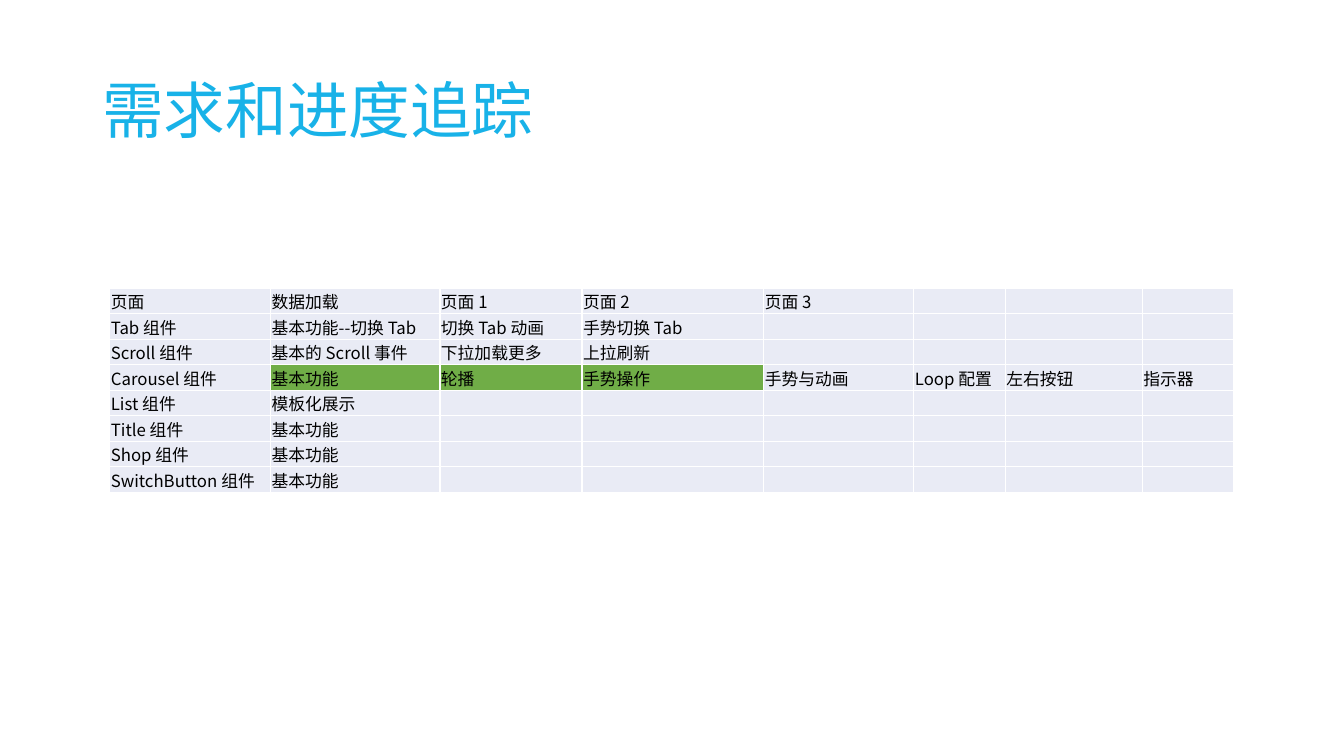
from lxml import etree
from pptx import Presentation
from pptx.dml.color import RGBColor
from pptx.enum.text import MSO_ANCHOR
from pptx.oxml.ns import qn
from pptx.util import Pt

MIDDLE, BOTTOM = MSO_ANCHOR.MIDDLE, MSO_ANCHOR.BOTTOM
FONT = "Noto Sans CJK SC"
BLUE = RGBColor(0x18, 0xB2, 0xE8)
BLACK = RGBColor(0x00, 0x00, 0x00)
WHITE = RGBColor(0xFF, 0xFF, 0xFF)
PALE = RGBColor(0xE9, 0xEB, 0xF5)
GREEN = RGBColor(0x70, 0xAD, 0x47)

TITLE = "需求和进度追踪"
ROWS = [
    ["页面", "数据加载", "页面 1", "页面 2", "页面 3"],
    ["Tab 组件", "基本功能--切换 Tab", "切换 Tab 动画", "手势切换 Tab"],
    ["Scroll 组件", "基本的 Scroll 事件", "下拉加载更多", "上拉刷新"],
    ["Carousel 组件", "基本功能", "轮播", "手势操作", "手势与动画",
     "Loop 配置", "左右按钮", "指示器"],
    ["List 组件", "模板化展示"],
    ["Title 组件", "基本功能"],
    ["Shop 组件", "基本功能"],
    ["SwitchButton 组件", "基本功能"],
]
DONE = {(3, 1), (3, 2), (3, 3)}
COL_WIDTHS = [114.8, 121, 101.5, 129.9, 107.2, 65.3, 97.9, 65.3]
ROW_HEIGHT = 18.2
CELL_SIZE = 12


def add_run(p, text, size, color):
    r = p.add_run()
    r.text = text
    r.font.size = Pt(size)
    r.font.name = FONT
    r.font.color.rgb = color
    etree.SubElement(r.font._element, qn("a:ea"), typeface=FONT)


def add_title(s, text):
    tf = s.shapes.add_textbox(Pt(66), Pt(28.8), Pt(828), Pt(104.4)).text_frame
    tf.word_wrap = True
    tf.vertical_anchor = MIDDLE
    p = tf.paragraphs[0]
    p.line_spacing = 0.9
    add_run(p, text, 44, BLUE)


def set_borders(cell, color, width):
    tc_pr = cell._tc.get_or_add_tcPr()
    for side in ("lnL", "lnR", "lnT", "lnB"):
        ln = etree.SubElement(tc_pr, qn(f"a:{side}"), w=str(Pt(width)))
        fill = etree.SubElement(ln, qn("a:solidFill"))
        etree.SubElement(fill, qn("a:srgbClr"), val=str(color))


def fill_cell(cell, text, color):
    set_borders(cell, WHITE, 1)
    cell.fill.solid()
    cell.fill.fore_color.rgb = color
    cell.vertical_anchor = BOTTOM
    cell.margin_left = cell.margin_right = cell.margin_top = Pt(0.72)
    cell.margin_bottom = Pt(0)
    p = cell.text_frame.paragraphs[0]
    if text:
        add_run(p, text, CELL_SIZE, BLACK)
    else:
        # Keeps an empty cell from stretching its row
        etree.SubElement(p._p, qn("a:endParaRPr"), sz=str(CELL_SIZE * 100))


def add_progress_table(s):
    table = s.shapes.add_table(
        len(ROWS), len(COL_WIDTHS), Pt(78.5), Pt(206),
        Pt(sum(COL_WIDTHS)), Pt(ROW_HEIGHT * len(ROWS))).table
    table.first_row = table.horz_banding = False
    for column, width in zip(table.columns, COL_WIDTHS):
        column.width = Pt(width)
    for i, texts in enumerate(ROWS):
        table.rows[i].height = Pt(ROW_HEIGHT)
        for j in range(len(COL_WIDTHS)):
            text = texts[j] if j < len(texts) else ""
            fill_cell(table.cell(i, j), text, GREEN if (i, j) in DONE else PALE)


def main():
    prs = Presentation()
    prs.slide_width, prs.slide_height = Pt(960), Pt(540)
    s = prs.slides.add_slide(prs.slide_layouts[6])
    add_title(s, TITLE)
    add_progress_table(s)
    prs.save("out.pptx")


if __name__ == "__main__":
    main()
